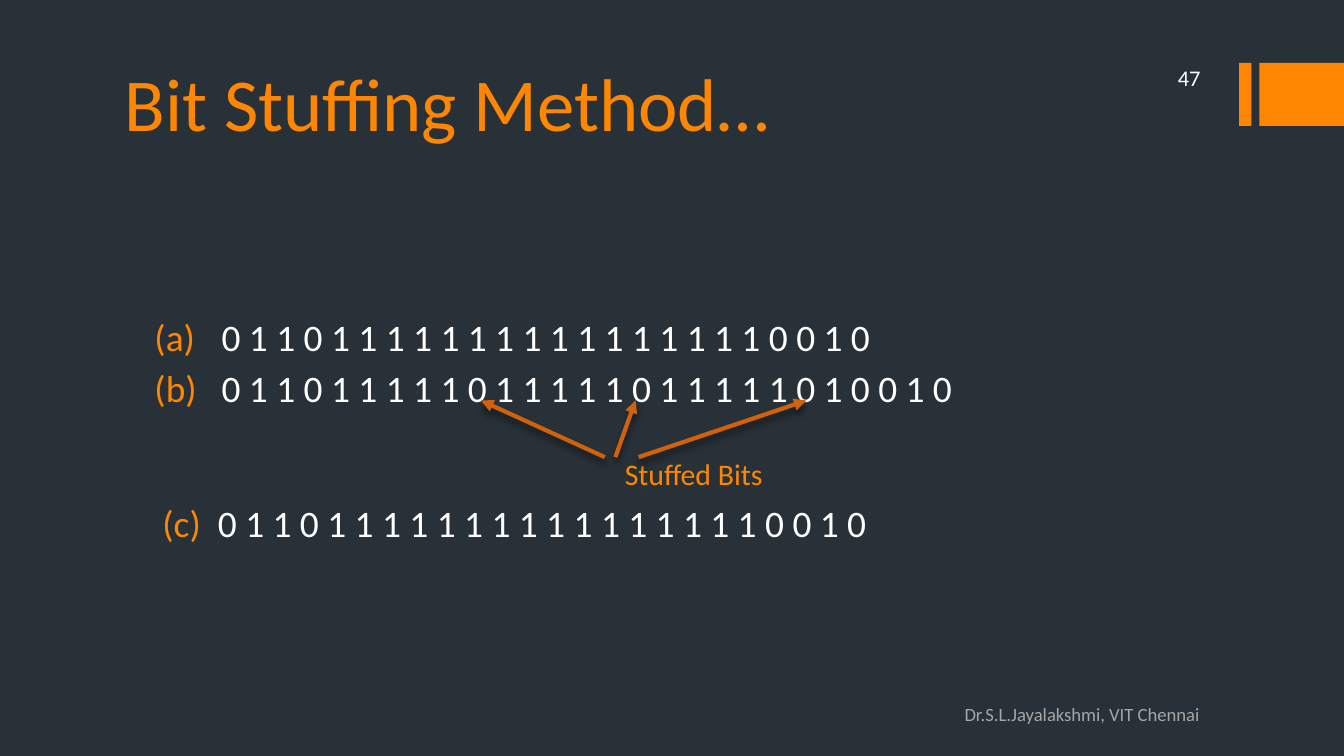
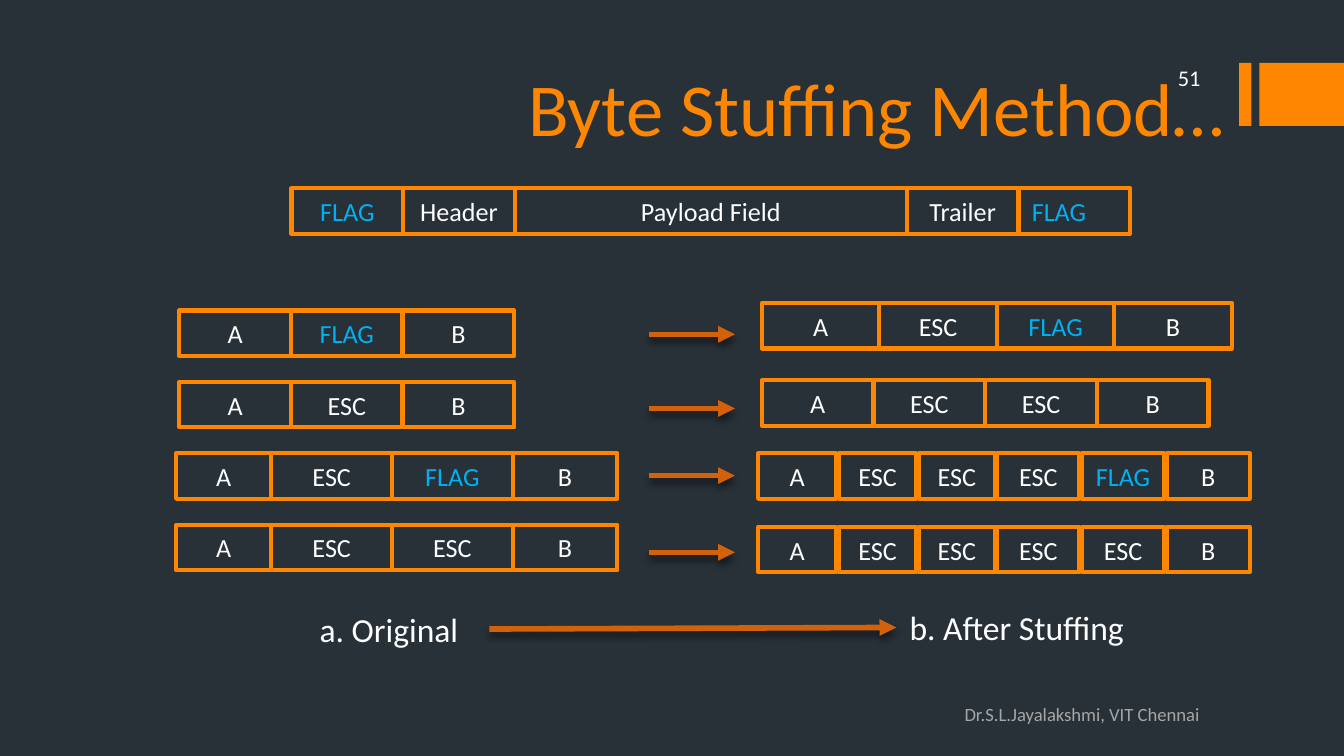
"""Builds two slides on bit stuffing and byte stuffing."""
from lxml import etree
from pptx import Presentation
from pptx.dml.color import RGBColor
from pptx.enum.shapes import MSO_CONNECTOR, MSO_SHAPE
from pptx.enum.text import MSO_ANCHOR, PP_ALIGN
from pptx.oxml.ns import qn
from pptx.util import Cm, Pt

RECTANGLE = MSO_SHAPE.RECTANGLE
STRAIGHT = MSO_CONNECTOR.STRAIGHT
TOP, MIDDLE, BOTTOM = MSO_ANCHOR.TOP, MSO_ANCHOR.MIDDLE, MSO_ANCHOR.BOTTOM
LEFT, CENTER, RIGHT = PP_ALIGN.LEFT, PP_ALIGN.CENTER, PP_ALIGN.RIGHT

COLORS = {
    "ground": "283138",
    "accent": "FF8600",
    "arrow": "D2610C",
    "flag": "00B0F0",
    "text": "FFFFFF",
    "footer": "A6A6A6",
    "shadow": "000000",
}
FONT = "Calibri"
FOOTER = "Dr.S.L.Jayalakshmi, VIT Chennai"
BANDS = [(23.42, 1.19, 0.23, 1.19), (23.8, 1.19, 1.6, 1.19)]

BITS = "0 1 1 0 1 1 1 1 1 1 1 1 1 1 1 1 1 1 1 1 0 0 1 0"
STUFFED_BITS = "0 1 1 0 1 1 1 1 1 0 1 1 1 1 1 0 1 1 1 1 1 0 1 0 0 1 0"
BIT_LINES = [
    (BITS, dict(number=1, margin=1.4, hang=1.27)),
    (STUFFED_BITS, dict(number=2, margin=1.4, hang=1.27, before=3.5)),
    ("Stuffed Bits", dict(size=16, color="accent", margin=9.02, before=24.5)),
    (BITS, dict(number=3, margin=1.33, hang=1.05, before=4.2)),
]
BIT_ARROWS = [
    ((11.43, 8.64), (9.09, 7.57)),
    ((11.63, 8.64), (12.01, 7.57)),
    ((12.07, 8.64), (15.24, 7.57)),
]

UNIT = 2.11
CELL_HEIGHT = 0.86
FRAME_FIELDS = ["FLAG", "Header", "Payload Field", "Trailer", "FLAG"]
FRAME_WIDTHS = [UNIT, UNIT, 7.41, UNIT, UNIT]
FOUR_WIDTHS = [1.8, 2.28, 2.28, 1.98]
SIX_WIDTHS = [1.47, 1.47, 1.43, 1.55, 1.55, 1.57]
ORIGINAL_TOP, ORIGINAL_PITCH = 5.87, 1.35
EXAMPLES = [
    dict(original="A FLAG B", left=3.39, widths=[UNIT] * 3, arrow=6.32,
         stuffed="A ESC FLAG B", start=14.4, top=5.73, spans=[2.22] * 4, gap=0),
    dict(original="A ESC B", left=3.39, widths=[UNIT] * 3, arrow=7.72,
         stuffed="A ESC ESC B", start=14.4, top=7.19, spans=[UNIT] * 4, gap=0),
    dict(original="A ESC FLAG B", left=3.33, widths=FOUR_WIDTHS, arrow=8.99,
         stuffed="A ESC ESC ESC FLAG B", start=14.33, top=8.57, spans=SIX_WIDTHS, gap=0.05),
    dict(original="A ESC ESC B", left=3.33, widths=FOUR_WIDTHS, arrow=10.44,
         stuffed="A ESC ESC ESC ESC B", start=14.33, top=9.96, spans=SIX_WIDTHS, gap=0.05),
]
CAPTIONS = [("a. Original", (5.79, 11.38, 3.6, 1.02)),
            ("b. After Stuffing", (16.94, 11.35, 4.88, 1.02))]
CAPTION_ARROW = ((9.25, 11.89), (16.94, 11.86))


def rgb(name):
    return RGBColor.from_string(COLORS[name])


def lengths(values):
    return [Cm(value) for value in values]


def write(frame, text, size=20, color="text", align=LEFT, before=0, margin=0, hang=0, number=0):
    paragraph = frame.add_paragraph() if frame.text else frame.paragraphs[0]
    properties = paragraph._p.get_or_add_pPr()
    if margin:
        properties.set("marL", str(Cm(margin)))
        properties.set("indent", str(-Cm(hang)))
    if number:
        bullet_color = etree.SubElement(properties, qn("a:buClr"))
        etree.SubElement(bullet_color, qn("a:srgbClr"), val=COLORS["accent"])
        etree.SubElement(properties, qn("a:buAutoNum"), type="alphaLcParenBoth", startAt=str(number))
    if before:
        paragraph.space_before = Pt(before)
    paragraph.alignment = align
    run = paragraph.add_run()
    run.text = text
    run.font.name = FONT
    run.font.size = Pt(size)
    run.font.color.rgb = rgb(color)


def add_box(slide, place, anchor=TOP, top_inset=0.13):
    frame = slide.shapes.add_textbox(*lengths(place)).text_frame
    frame.word_wrap = True
    frame.vertical_anchor = anchor
    frame.margin_top = Cm(top_inset)
    return frame


def add_rectangle(slide, place):
    rectangle = slide.shapes.add_shape(RECTANGLE, *lengths(place))
    rectangle.shadow.inherit = False
    return rectangle


def add_arrow(slide, start, end, weight):
    arrow = slide.shapes.add_connector(STRAIGHT, *lengths(start + end))
    arrow.line.color.rgb = rgb("arrow")
    arrow.line.width = Pt(weight)
    etree.SubElement(arrow.line._get_or_add_ln(), qn("a:tailEnd"), type="triangle")
    effects = etree.SubElement(arrow._element.spPr, qn("a:effectLst"))
    shadow = etree.SubElement(effects, qn("a:outerShdw"), blurRad=str(Pt(3.8)),
                              dist=str(Pt(3)), dir="5400000", rotWithShape="0")
    shade = etree.SubElement(shadow, qn("a:srgbClr"), val=COLORS["shadow"])
    etree.SubElement(shade, qn("a:alpha"), val="48000")


def add_cells(slide, fields, left, top, widths, gap=0, last_align=CENTER):
    for index, (field, width) in enumerate(zip(fields, widths)):
        align = last_align if index == len(fields) - 1 else CENTER
        cell = add_rectangle(slide, (left, top, width, CELL_HEIGHT))
        cell.fill.background()
        cell.line.color.rgb = rgb("accent")
        cell.line.width = Pt(2.25)
        frame = cell.text_frame
        frame.vertical_anchor = MIDDLE
        frame.margin_left = frame.margin_right = Cm(0.25 if align == LEFT else 0)
        write(frame, field, size=14, color="flag" if field == "FLAG" else "text", align=align)
        left += width + gap


def add_slide(deck, title, title_place, number):
    slide = deck.slides.add_slide(deck.slide_layouts[6])
    slide.background.fill.solid()
    slide.background.fill.fore_color.rgb = rgb("ground")
    for place in BANDS:
        band = add_rectangle(slide, place)
        band.fill.solid()
        band.fill.fore_color.rgb = rgb("accent")
        band.line.fill.background()
    write(add_box(slide, title_place, BOTTOM), title, size=40, color="accent")
    write(add_box(slide, (17.98, 13.28, 6.25, 0.64), top_inset=0), FOOTER, size=10, color="footer")
    write(add_box(slide, (20.32, 1.14, 2.62, 0.64), MIDDLE), number, size=12, align=RIGHT)
    return slide


def build_bit_stuffing(deck):
    slide = add_slide(deck, "Bit Stuffing Method…", (2.11, 0.48, 20.32, 2.41), "47")
    body = add_box(slide, (2.54, 5.81, 18.42, 7.3))
    for text, style in BIT_LINES:
        write(body, text, **style)
    for start, end in BIT_ARROWS:
        add_arrow(slide, start, end, 2.25)


def build_byte_stuffing(deck):
    slide = add_slide(deck, "Byte Stuffing Method…", (9.73, 0.58, 13.9, 2.41), "51")
    add_cells(slide, FRAME_FIELDS, 5.51, 3.56, FRAME_WIDTHS, last_align=LEFT)
    for row, example in enumerate(EXAMPLES):
        add_cells(slide, example["original"].split(), example["left"],
                  ORIGINAL_TOP + row * ORIGINAL_PITCH, example["widths"])
        add_cells(slide, example["stuffed"].split(), example["start"],
                  example["top"], example["spans"], example["gap"])
        add_arrow(slide, (12.27, example["arrow"]), (13.89, example["arrow"]), 3)
    for caption, place in CAPTIONS:
        write(add_box(slide, place), caption, size=18)
    add_arrow(slide, *CAPTION_ARROW, 3)


def main():
    deck = Presentation()
    deck.slide_width, deck.slide_height = Cm(25.4), Cm(14.29)
    build_bit_stuffing(deck)
    build_byte_stuffing(deck)
    deck.save("out.pptx")


if __name__ == "__main__":
    main()
